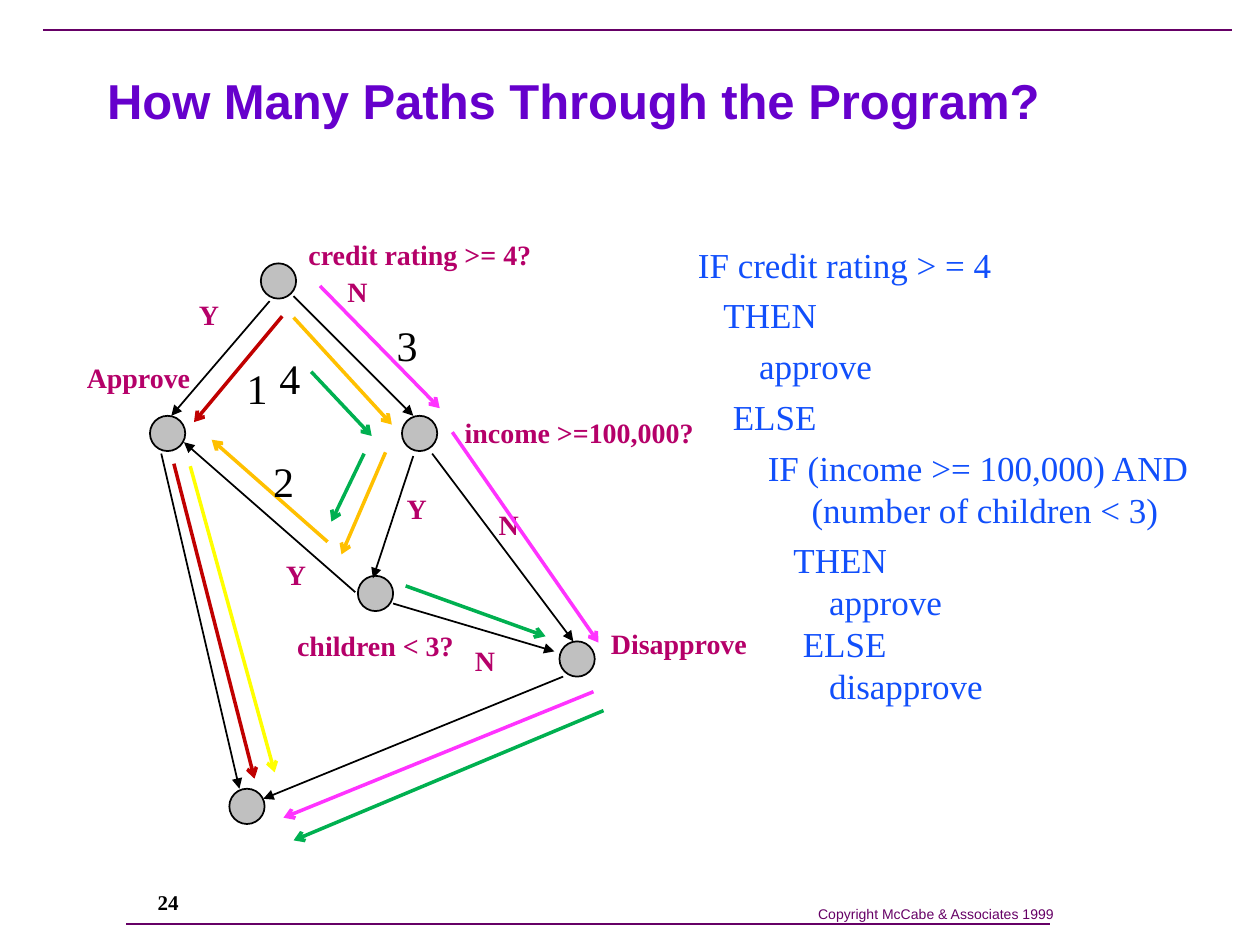
import pptx
import pptx.dml.color
import pptx.enum.shapes
import pptx.enum.text
import pptx.oxml.ns
import pptx.util
from dataclasses import dataclass
from lxml import etree
from typing import NamedTuple

COLS, ROWS = 100, 75
SERIF, SANS = "Times New Roman", "Arial"
HUES = {
    "title": "6600CC", "rule": "660066", "label": "B50069", "code": "114FFB",
    "black": "000000", "node": "C0C0C0", "red": "C00000", "pink": "FF33FF",
    "orange": "FFC000", "yellow": "FFFF00", "green": "00B050",
}


class Leg(NamedTuple):
    x1: float
    y1: float
    x2: float
    y2: float
    hue: str = "black"


class Node(NamedTuple):
    x: float
    y: float


@dataclass
class Label:
    text: str
    x: float
    y: float
    w: float = 3.6
    h: float = 3.6
    size: float = 16
    hue: str = "label"
    bold: bool = True
    font: str = SERIF
    mid: bool = False
    wrap: bool = False
    gap: float = 0


@dataclass
class Route:
    mark: Label
    legs: list[Leg]


def digit(text: str, x: float, y: float) -> Label:
    return Label(text, x, y, h=5, size=24, hue="black", bold=False)


NODES = [Node(18.2, 62.6), Node(20.7, 20.9), Node(28.4, 45.7),
         Node(31.9, 33), Node(44.4, 50.9), Node(11.9, 33)]
LABELS = [
    Label("credit rating >= 4?", 23.5, 18.4, 19.7),
    Label("Disapprove", 47.5, 49.2, 12.8),
    Label("Approve", 5.9, 28.1, 10.2),
    Label("income >=100,000?", 35.9, 32.5, 20.6),
    Label("children < 3?", 22.6, 49.4, 14.5),
    Label("Y", 21.7, 43.8), Label("Y", 31.3, 38.5), Label("Y", 14.8, 23.1),
    Label("N", 36.7, 50.6), Label("N", 38.6, 39.8), Label("N", 26.6, 21.3),
]
EDGES = [
    Leg(23.3, 23.5, 32.8, 33), Leg(21.4, 23.9, 13.6, 33),
    Leg(32.8, 36.2, 29.6, 45.9), Leg(28.2, 47, 14.6, 35.1),
    Leg(12.8, 36, 19, 62.6), Leg(34.3, 36, 45.5, 50.9),
    Leg(31.2, 47.9, 44, 51.7), Leg(44.7, 53.7, 20.9, 63.4),
]
ROUTES = [
    Route(digit("1", 18.6, 28.3), [
        Leg(22.4, 25.1, 15.4, 33.5, "red"),
        Leg(13.8, 36.8, 20.2, 61.8, "red")]),
    Route(digit("3", 30.5, 24.9), [
        Leg(25.4, 22.7, 34.9, 32.4, "pink"),
        Leg(35.9, 34.3, 47.5, 51, "pink"),
        Leg(47.1, 54.9, 22.5, 64.9, "pink")]),
    Route(digit("2", 20.7, 35.7), [
        Leg(23.3, 25.2, 31.1, 33.7, "orange"),
        Leg(30.6, 35.9, 27.1, 44, "orange"),
        Leg(26, 43, 16.8, 34.9, "orange"),
        Leg(15.1, 37, 21.8, 61.3, "yellow")]),
    Route(digit("4", 21.2, 27.5), [
        Leg(24.7, 29.5, 29.5, 34.6, "green"),
        Leg(28.9, 36, 26.3, 41.4, "green"),
        Leg(32.2, 46.5, 43.3, 50.5, "green"),
        Leg(47.9, 56.4, 23.3, 66.7, "green")]),
]
CODE = "\n".join([
    "IF credit rating > = 4",
    "   THEN",
    "       approve",
    "    ELSE",
    "        IF (income >= 100,000) AND\v             (number of children < 3)",
    "           THEN\v               approve\v            ELSE\v               disapprove",
])

deck = pptx.Presentation()
deck.slide_width = pptx.util.Inches(10)
deck.slide_height = pptx.util.Inches(7.5)


def col(n: float) -> int:
    return round(deck.slide_width * n / COLS)


def row(n: float) -> int:
    return round(deck.slide_height * n / ROWS)


def rgb(hue: str) -> pptx.dml.color.RGBColor:
    return pptx.dml.color.RGBColor.from_string(HUES[hue])


def style(para, item: Label) -> None:
    font = para.font
    font.name, font.bold = item.font, item.bold
    font.size = pptx.util.Pt(item.size)
    font.color.rgb = rgb(item.hue)


def write(shapes, item: Label) -> None:
    box = shapes.add_textbox(col(item.x), row(item.y), col(item.w), row(item.h))
    frame = box.text_frame
    frame.word_wrap = item.wrap
    frame.auto_size = pptx.enum.text.MSO_AUTO_SIZE.SHAPE_TO_FIT_TEXT
    frame.text = item.text
    align = pptx.enum.text.PP_ALIGN
    for i, para in enumerate(frame.paragraphs):
        para.alignment = align.CENTER if item.mid else align.LEFT
        para.space_before = pptx.util.Pt(item.gap if i else 0)
        style(para, item)


def join(shapes, leg: Leg, width: float = 1, head: str = "") -> None:
    line = shapes.add_connector(
        pptx.enum.shapes.MSO_CONNECTOR.STRAIGHT,
        col(leg.x1), row(leg.y1), col(leg.x2), row(leg.y2))
    line.line.width = pptx.util.Pt(width)
    line.line.color.rgb = rgb(leg.hue)
    qn = pptx.oxml.ns.qn
    props = line.element.spPr
    if head:
        etree.SubElement(props.find(qn("a:ln")), qn("a:tailEnd"), type=head)
    etree.SubElement(props, qn("a:effectLst"))


def dot(shapes, node: Node) -> None:
    disc = shapes.add_shape(pptx.enum.shapes.MSO_SHAPE.OVAL,
                            col(node.x), row(node.y), col(2.8), row(2.8))
    disc.shadow.inherit = False
    disc.fill.solid()
    disc.fill.fore_color.rgb = rgb("node")
    disc.line.color.rgb = rgb("black")
    disc.line.width = pptx.util.Pt(1)


def head(title) -> None:
    title.left, title.top = col(7.5), row(4.2)
    title.width, title.height = col(90), row(7.5)
    frame = title.text_frame
    frame.text = "How Many Paths Through the Program?"
    frame.vertical_anchor = pptx.enum.text.MSO_ANCHOR.MIDDLE
    frame.auto_size = pptx.enum.text.MSO_AUTO_SIZE.NONE
    para = frame.paragraphs[0]
    para.alignment = pptx.enum.text.PP_ALIGN.LEFT
    style(para, Label("", 0, 0, size=28, hue="title", font=SANS))


def main() -> None:
    slide = deck.slides.add_slide(deck.slide_layouts[5])
    shapes = slide.shapes
    head(shapes.title)
    for rule in (Leg(3.4, 2.4, 97.8, 2.4, "rule"), Leg(10, 73.35, 83.3, 73.35, "rule")):
        join(shapes, rule)
    write(shapes, Label("Copyright McCabe & Associates 1999", 63.9, 71.4, 20.8, 2.3,
                        size=8, hue="rule", bold=False, font=SANS, mid=True))
    write(shapes, Label("24", 8.6, 70.1, 9.5, 3, size=12, hue="black", mid=True))
    for node in NODES:
        dot(shapes, node)
    for edge in EDGES:
        join(shapes, edge, head="triangle")
    for item in LABELS:
        write(shapes, item)
    write(shapes, Label(CODE, 54.4, 18.8, 41.1, 41.8, size=20, hue="code",
                        bold=False, wrap=True, gap=5))
    for route in ROUTES:
        group = shapes.add_group_shape().shapes
        for leg in route.legs:
            join(group, leg, 2, "arrow")
        write(group, route.mark)
    deck.save("out.pptx")


if __name__ == "__main__":
    main()
